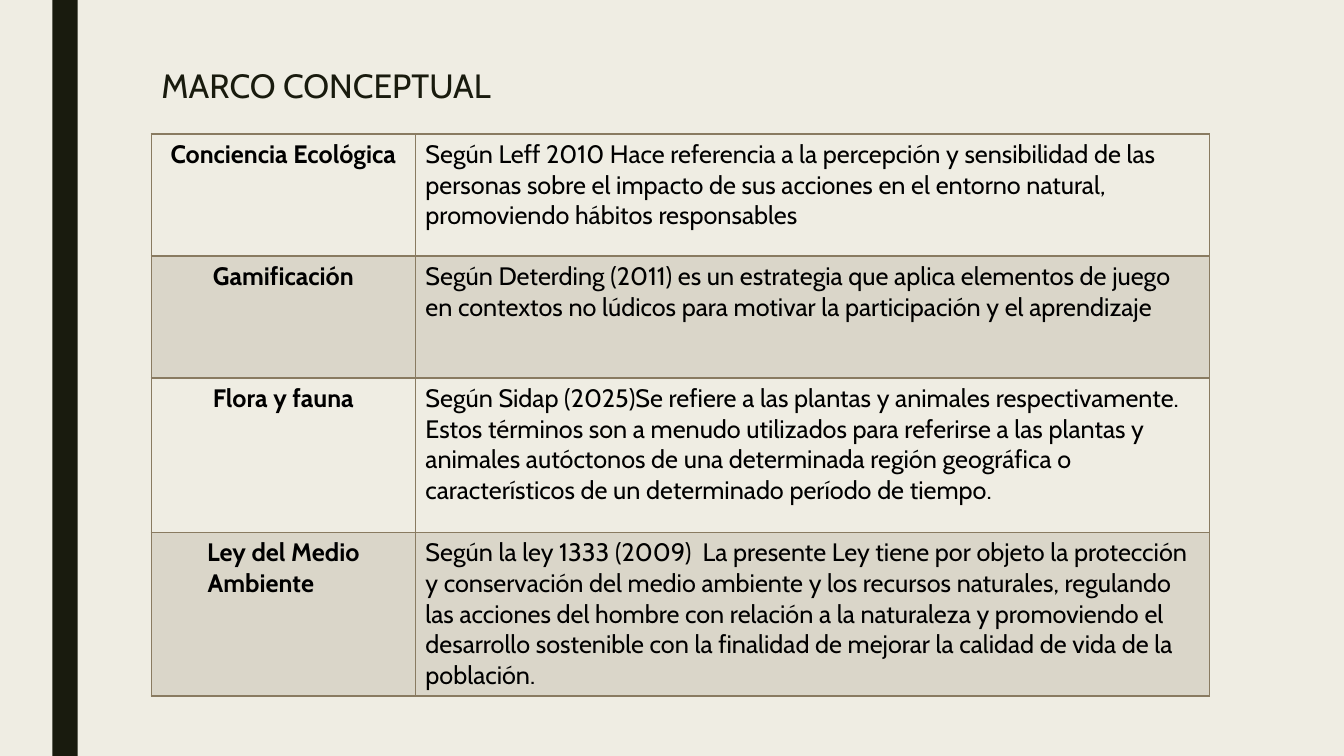
import pptx
import pptx.util
import pptx.dml.color
import pptx.enum.shapes
import pptx.enum.text
import pptx.oxml
import pptx.oxml.ns
from dataclasses import dataclass

Inches, Pt = pptx.util.Inches, pptx.util.Pt
RGB = pptx.dml.color.RGBColor.from_string
ALIGN = pptx.enum.text.PP_ALIGN


@dataclass(frozen=True)
class Theme:
    font: str = "Cabin"
    paper: str = "EFEDE3"
    dark: str = "191B0E"
    text: str = "000000"
    accent: str = "897B61"
    band_alpha: int = 20
    title_size: int = 24
    body_size: int = 18


theme = Theme()

CONCEPTS = [
    ("Conciencia Ecológica",
     "Según Leff 2010 Hace referencia a la percepción y sensibilidad de las personas sobre el "
     "impacto de sus acciones en el entorno natural, promoviendo hábitos responsables"),
    ("Gamificación",
     "Según Deterding (2011) es un estrategia que aplica elementos de juego en contextos no "
     "lúdicos para motivar la participación y el aprendizaje"),
    ("Flora y fauna",
     "Según Sidap (2025)Se refiere a las plantas y animales respectivamente. Estos términos son "
     "a menudo utilizados para referirse a las plantas y animales autóctonos de una determinada "
     "región geográfica o característicos de un determinado período de tiempo."),
    ("Ley del Medio Ambiente\t",
     "Según la ley 1333 (2009)  La presente Ley tiene por objeto la protección y conservación "
     "del medio ambiente y los recursos naturales, regulando las acciones del hombre con "
     "relación a la naturaleza y promoviendo el desarrollo sostenible con la finalidad de "
     "mejorar la calidad de vida de la población."),
]
COL_WIDTHS = [2.62, 7.88]
ROW_HEIGHTS = [1.21, 1.21, 1.53, 1.53]


def write(tf, text, align, color, **font):
    p = tf.paragraphs[0]
    p.alignment = align
    r = p.add_run()
    r.text = text
    r.font.color.rgb = RGB(color)
    for name, value in {"name": theme.font, **font}.items():
        setattr(r.font, name, value)
    return p


def add_borders(cell, widths):
    """Put border lines, given in points by side, ahead of the cell's fill."""
    tc_pr = cell._tc.get_or_add_tcPr()
    for i, side in enumerate("LRTB"):
        tc_pr.insert(i, pptx.oxml.parse_xml(
            f'<a:ln{side} {pptx.oxml.ns.nsdecls("a")} w="{Pt(widths[side])}">'
            f'<a:solidFill><a:srgbClr val="{theme.accent}"/></a:solidFill></a:ln{side}>'))


prs = pptx.Presentation()
prs.slide_width, prs.slide_height = Inches(13.33), Inches(7.5)
s = prs.slides.add_slide(prs.slide_layouts[5])
s.background.fill.solid()
s.background.fill.fore_color.rgb = RGB(theme.paper)

# Side bar
bar = s.shapes.add_shape(pptx.enum.shapes.MSO_SHAPE.RECTANGLE,
                         Inches(0.52), 0, Inches(0.25), prs.slide_height)
bar.shadow.inherit = False
bar.fill.solid()
bar.fill.fore_color.rgb = RGB(theme.dark)
bar.line.fill.background()

# Title
title = s.shapes.title
title.left, title.top, title.width, title.height = map(Inches, (1.5, 0.64, 5.4, 0.58))
tf = title.text_frame
for name, value in {"word_wrap": True, "auto_size": pptx.enum.text.MSO_AUTO_SIZE.NONE,
                    "vertical_anchor": pptx.enum.text.MSO_ANCHOR.TOP}.items():
    setattr(tf, name, value)
p = write(tf, "MARCO CONCEPTUAL", ALIGN.LEFT, theme.dark, size=Pt(theme.title_size))
p.line_spacing = 0.89

# Concept table
table = s.shapes.add_table(len(CONCEPTS), 2, Inches(1.5), Inches(1.33),
                           Inches(sum(COL_WIDTHS)), Inches(sum(ROW_HEIGHTS))).table
table.first_row = table.horz_banding = False
for col, width in zip(table.columns, COL_WIDTHS):
    col.width = Inches(width)

for i, (row, height, texts) in enumerate(zip(table.rows, ROW_HEIGHTS, CONCEPTS)):
    row.height = Inches(height)
    borders = {"L": 1, "R": 1, "T": 2 if i == 1 else 1, "B": 2 if i == 0 else 1}
    for j, (cell, text) in enumerate(zip(row.cells, texts)):
        is_term = j == 0
        write(cell.text_frame, text, ALIGN.CENTER if is_term else ALIGN.LEFT, theme.text,
              size=Pt(theme.body_size), bold=is_term)
        if i % 2:
            cell.fill.solid()
            cell.fill.fore_color.rgb = RGB(theme.accent)
            color = cell._tc.tcPr.find(".//" + pptx.oxml.ns.qn("a:srgbClr"))
            color.append(pptx.oxml.parse_xml(
                f'<a:alpha {pptx.oxml.ns.nsdecls("a")} val="{theme.band_alpha * 1000}"/>'))
        else:
            cell.fill.background()
        add_borders(cell, borders)

prs.save("out.pptx")
